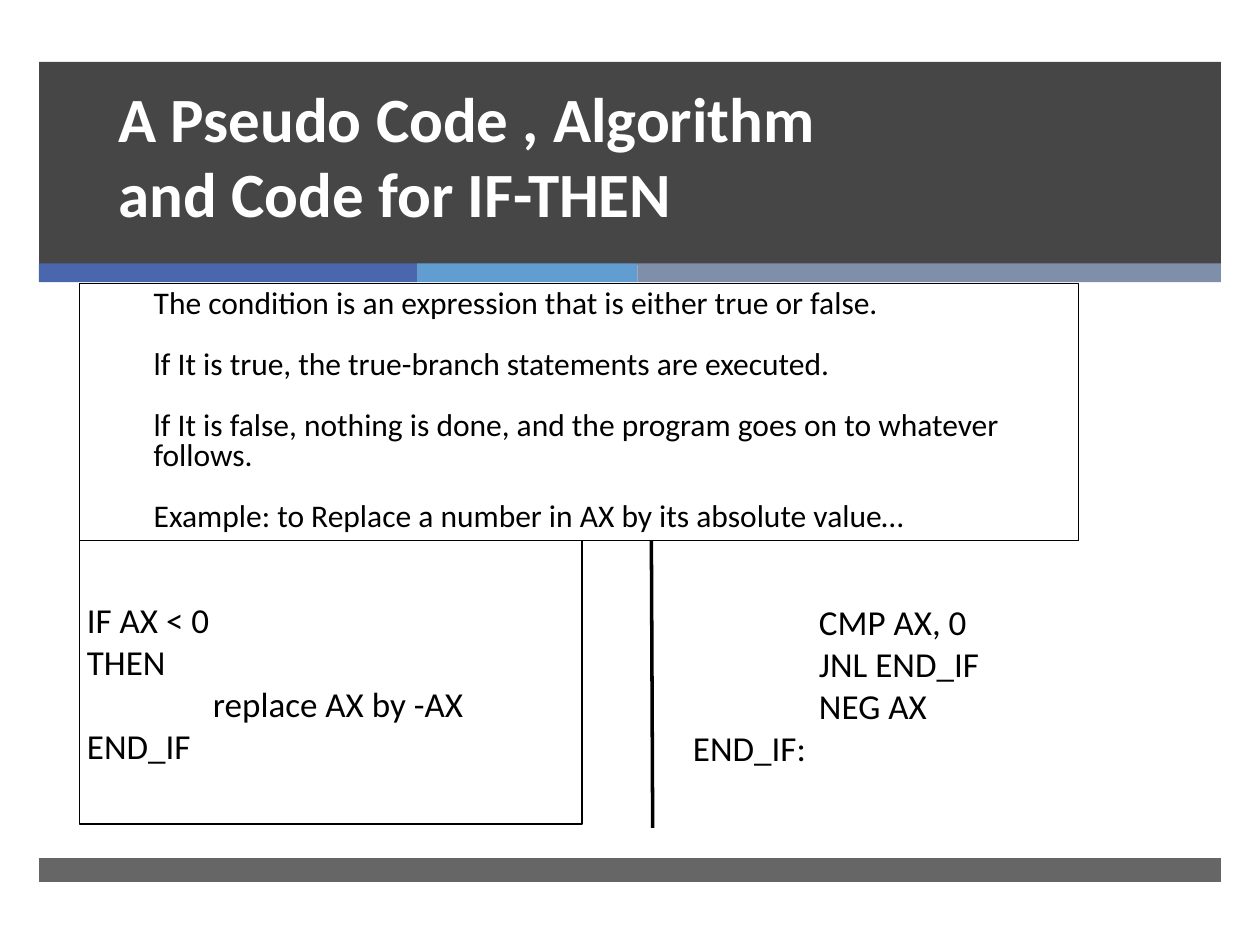
from pptx import Presentation
from pptx.dml.color import RGBColor
from pptx.enum.shapes import MSO_CONNECTOR, MSO_SHAPE
from pptx.enum.text import MSO_ANCHOR, MSO_AUTO_SIZE, PP_ALIGN
from pptx.oxml.ns import qn
from pptx.util import Inches, Pt
from lxml.etree import SubElement

COLORS = {"dark": "262626", "blue": "4A66AC", "sky": "629DD1",
          "slate": "7F8FA9", "black": "000000", "white": "FFFFFF"}
COLORS = {role: RGBColor.from_string(value) for role, value in COLORS.items()}


def place(part, left, top, width, height):
    box = {"left": left, "top": top, "width": width, "height": height}
    for side, length in box.items():
        setattr(part, side, Inches(length))


def write(part, lines, size, color, frame_format, paragraph_format, bold=False):
    frame = part.text_frame
    for key, value in {"word_wrap": True, **frame_format}.items():
        setattr(frame, key, value)
    for index, (text, indent) in enumerate(lines):
        paragraph = frame.paragraphs[0] if index == 0 else frame.add_paragraph()
        for key, value in paragraph_format.items():
            setattr(paragraph, key, value)
        if index == 0:
            paragraph.space_before = Pt(0)
        properties = paragraph._p.get_or_add_pPr()
        properties.set("marL", str(Inches(indent)))
        properties.set("indent", "0")
        SubElement(properties, qn("a:buNone"))
        run = paragraph.add_run()
        run.text = text
        for key, value in {"name": "Calibri", "size": Pt(size), "bold": bold}.items():
            setattr(run.font, key, value)
        run.font.color.rgb = COLORS[color]


deck = Presentation()
deck.slide_width, deck.slide_height = Inches(10), Inches(7.5)
slide = deck.slides.add_slide(deck.slide_layouts[1])
shapes = slide.shapes
title, conditions = shapes.title, slide.placeholders[1]

MARGIN, CONTENT_LEFT, CODE_TOP = 0.31, 0.63, 4.29
bands = [
    (MARGIN, 0.49, 9.38, 1.61, "dark", 85),
    (MARGIN, 2.09, 3, 0.15, "blue", 100),
    (MARGIN + 3, 2.09, 1.75, 0.15, "sky", 100),
    (MARGIN + 4.75, 2.09, 4.63, 0.15, "slate", 100),
    (MARGIN, 6.81, 9.38, 0.19, "dark", 70),
]
for left, top, width, height, color, opacity in bands:
    band = shapes.add_shape(MSO_SHAPE.RECTANGLE, *map(Inches, (left, top, width, height)))
    band.shadow.inherit = False
    band.line.fill.background()
    band.fill.solid()
    band.fill.fore_color.rgb = COLORS[color]
    if opacity < 100:
        tint = band.fill._xPr.find(qn("a:solidFill"))[0]
        SubElement(tint, qn("a:alpha")).set("val", str(opacity * 1000))

for placeholder in (conditions, title):
    shapes._spTree.append(placeholder._element)

place(conditions, CONTENT_LEFT, 2.25, 7.93, CODE_TOP - 2.25)
condition_lines = [
    "The condition is an expression that is either true or false.",
    "lf It is true, the true-branch statements are executed.",
    "lf It is false, nothing is done, and the program goes on to whatever follows. ",
    "Example: to Replace a number in AX by its absolute value…",
]
write(conditions, [(line, 0.49) for line in condition_lines], 18, "black",
      {"vertical_anchor": MSO_ANCHOR.TOP, "auto_size": MSO_AUTO_SIZE.NONE},
      {"line_spacing": 0.8, "space_before": Pt(17.6), "alignment": PP_ALIGN.LEFT})

place(title, 0.84, 0.58, 6.24, 1.31)
write(title, [("A Pseudo Code , Algorithm and Code for IF-THEN", 0)], 36, "white",
      {"vertical_anchor": MSO_ANCHOR.TOP, "auto_size": MSO_AUTO_SIZE.NONE},
      {"alignment": PP_ALIGN.LEFT}, bold=True)

code_format = {"vertical_anchor": MSO_ANCHOR.MIDDLE}
for side in ("left", "right", "top", "bottom"):
    code_format[f"margin_{side}"] = Inches(0.06)

pseudo_code = shapes.add_textbox(*map(Inches, (CONTENT_LEFT, CODE_TOP, 3.99, 2.25)))
pseudo_code.fill.solid()
pseudo_code.fill.fore_color.rgb = COLORS["white"]
assembly = shapes.add_textbox(*map(Inches, (5.44, 4.18, 4.03, 2.5)))
write(pseudo_code, [("IF AX < 0 ", 0), ("THEN ", 0), ("replace AX by -AX ", 1),
                    ("END_IF ", 0)], 20, "black", code_format, {})
write(assembly, [("CMP AX, 0 ", 1), ("JNL END_IF", 1), ("NEG AX ", 1),
                 ("END_IF:", 0)], 20, "black", code_format, {})

divider = shapes.add_connector(MSO_CONNECTOR.STRAIGHT,
                               *map(Inches, (5.17, CODE_TOP, 5.18, 6.57)))
SubElement(divider._element.spPr, qn("a:effectLst"))
for outlined, weight in ((conditions, 0.75), (pseudo_code, 0.75), (divider, 2)):
    outlined.line.color.rgb = COLORS["black"]
    outlined.line.width = Pt(weight)

deck.save("out.pptx")
